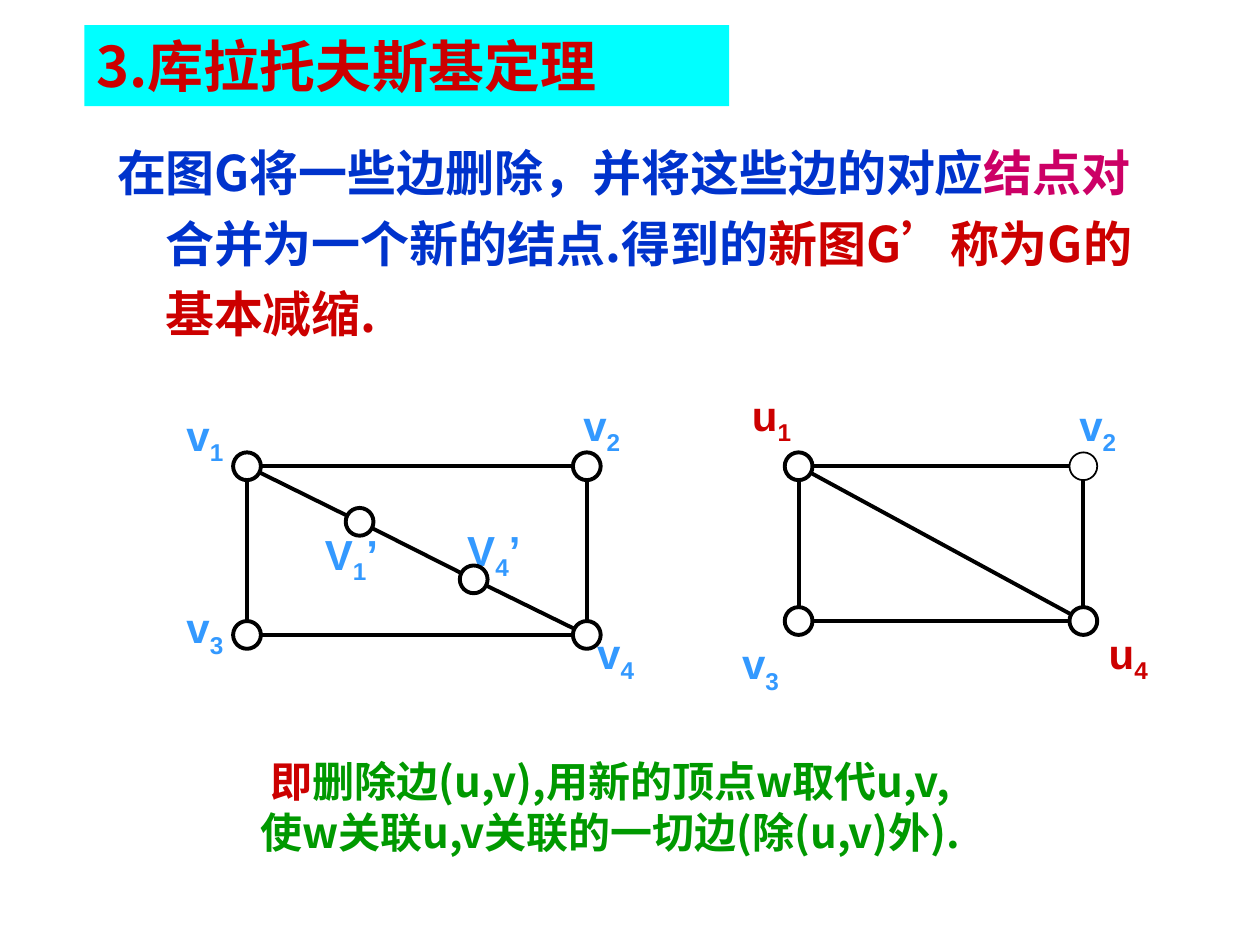
from math import hypot
from lxml.etree import SubElement
from pptx import Presentation
from pptx.dml.color import RGBColor
from pptx.enum.shapes import MSO_CONNECTOR as Link, MSO_SHAPE as Kind
from pptx.enum.text import MSO_AUTO_SIZE as Fit, MSO_ANCHOR as Anchor, PP_ALIGN as Align
from pptx.oxml.ns import qn
from pptx.util import Cm, Pt

CJK = "Noto Sans CJK SC"
BLUE, RED, SKY = "0033CC", "CC0000", "3399FF"
PINK, GREEN = "CC0066", "009900"


def rgb(code):
    """Turn a hex string into a colour."""
    return RGBColor.from_string(code)


def write(box, lines, font=CJK, size=24, before=0, space=1.0,
          align=Align.LEFT, hang=0, fit=Fit.SHAPE_TO_FIT_TEXT):
    """Fill a box with lines, each a list of (text, colour, baseline) runs."""
    frame = box.text_frame
    frame.word_wrap = True
    frame.auto_size = fit
    frame.vertical_anchor = Anchor.TOP
    for i, runs in enumerate(lines):
        para = frame.add_paragraph() if i else frame.paragraphs[0]
        para.alignment = align
        para.space_before = Pt(before)
        para.line_spacing = space
        if hang:
            props = para._p.get_or_add_pPr()
            props.set("marL", str(hang))
            props.set("indent", str(-hang))
        for text, code, base in runs:
            run = para.add_run()
            run.text = text
            run.font.size = Pt(size)
            run.font.bold = True
            run.font.name = font
            run.font.color.rgb = rgb(code)
            props = run._r.get_or_add_rPr()
            SubElement(props, qn("a:ea")).set("typeface", font)
            if base:
                props.set("baseline", str(base * 1000))


deck = Presentation()
deck.slide_width, deck.slide_height = Cm(25.4), Cm(19.05)
slide = deck.slides.add_slide(deck.slide_layouts[6])
shapes = slide.shapes

# Definition
body = shapes.add_textbox(Cm(2.11), Cm(2.51), Cm(21.67), Cm(4.6))
write(body, [[("在图G将一些边删除，并将这些边的对应", BLUE, 0),
              ("结点对", PINK, 0),
              ("合并为一个新的结点.得到的", BLUE, 0),
              ("新图G’称为G的基本减缩.", RED, 0)]],
      size=28, before=7, space=1.2, hang=Cm(0.97), fit=Fit.NONE)

# Labels: letter, index, prime, left, top, colour
labels = [
    ("v", "1", "", 3.51, 8.13, SKY),
    ("v", "2", "", 11.51, 7.92, SKY),
    ("v", "3", "", 3.51, 12.01, SKY),
    ("v", "4", "", 11.79, 12.52, SKY),
    ("V", "1", "’", 6.3, 10.52, SKY),
    ("V", "4", "’", 9.17, 10.44, SKY),
    ("u", "1", "", 14.91, 7.72, RED),
    ("v", "2", "", 21.51, 7.92, SKY),
    ("v", "3", "", 14.71, 12.73, SKY),
    ("u", "4", "", 22.1, 12.52, RED),
]
for name, index, prime, left, top, code in labels:
    wide = 2.01 if prime else 1.4
    box = shapes.add_textbox(Cm(left), Cm(top), Cm(wide), Cm(1.42))
    runs = [(name, code, 0), (index, code, -25)]
    if prime:
        runs.append((prime, code, 0))
    write(box, [runs], font="Arial", before=15)

# Both graphs: node centres, and edges as pairs of nodes
RAD = 0.28
graphs = [
    ({"v1": (4.98, 9.4), "v2": (11.83, 9.4), "v3": (4.98, 12.8),
      "v4": (11.83, 12.8), "w1": (7.25, 10.52), "w4": (9.55, 11.68)},
     ["v1 v2", "v2 v4", "v3 v4", "v1 v3", "v1 w1", "w1 w4", "w4 v4"]),
    ({"u1": (16.1, 9.4), "x2": (21.84, 9.4), "x3": (16.1, 12.52),
      "u4": (21.84, 12.52)},
     ["u1 x3", "x3 u4", "x2 u4", "u1 x2", "u1 u4"]),
]
for nodes, edges in graphs:
    for name, (x, y) in nodes.items():
        dot = shapes.add_shape(Kind.OVAL, Cm(x - RAD), Cm(y - RAD),
                               Cm(2 * RAD), Cm(2 * RAD))
        dot.shadow.inherit = False
        dot.fill.solid()
        dot.fill.fore_color.rgb = rgb("FFFFFF")
        dot.line.color.rgb = rgb("000000")
        dot.line.width = Pt(1 if name == "x2" else 2.24)
    for edge in edges:
        (x1, y1), (x2, y2) = [nodes[end] for end in edge.split()]
        part = RAD / hypot(x2 - x1, y2 - y1)
        dx, dy = part * (x2 - x1), part * (y2 - y1)
        line = shapes.add_connector(Link.STRAIGHT, Cm(x1 + dx), Cm(y1 + dy),
                                    Cm(x2 - dx), Cm(y2 - dy))
        line.line.color.rgb = rgb("000000")
        line.line.width = Pt(2.24)
        SubElement(line._element.spPr, qn("a:effectLst"))

# Title
title = shapes.add_shape(Kind.RECTANGLE, Cm(1.7), Cm(0.51), Cm(13), Cm(1.63))
title.shadow.inherit = False
title.fill.solid()
title.fill.fore_color.rgb = rgb("00FFFF")
title.line.fill.background()
write(title, [[("3.库拉托夫斯基定理", RED, 0)]], size=32, before=20)

# Remark
note = shapes.add_textbox(Cm(3.3), Cm(15.11), Cm(18.01), Cm(2.29))
write(note, [[("即", RED, 0), ("删除边(u,v),用新的顶点w取代u,v,", GREEN, 0)],
             [("使w关联u,v关联的一切边(除(u,v)外).", GREEN, 0)]],
      align=Align.CENTER)

deck.save("out.pptx")
